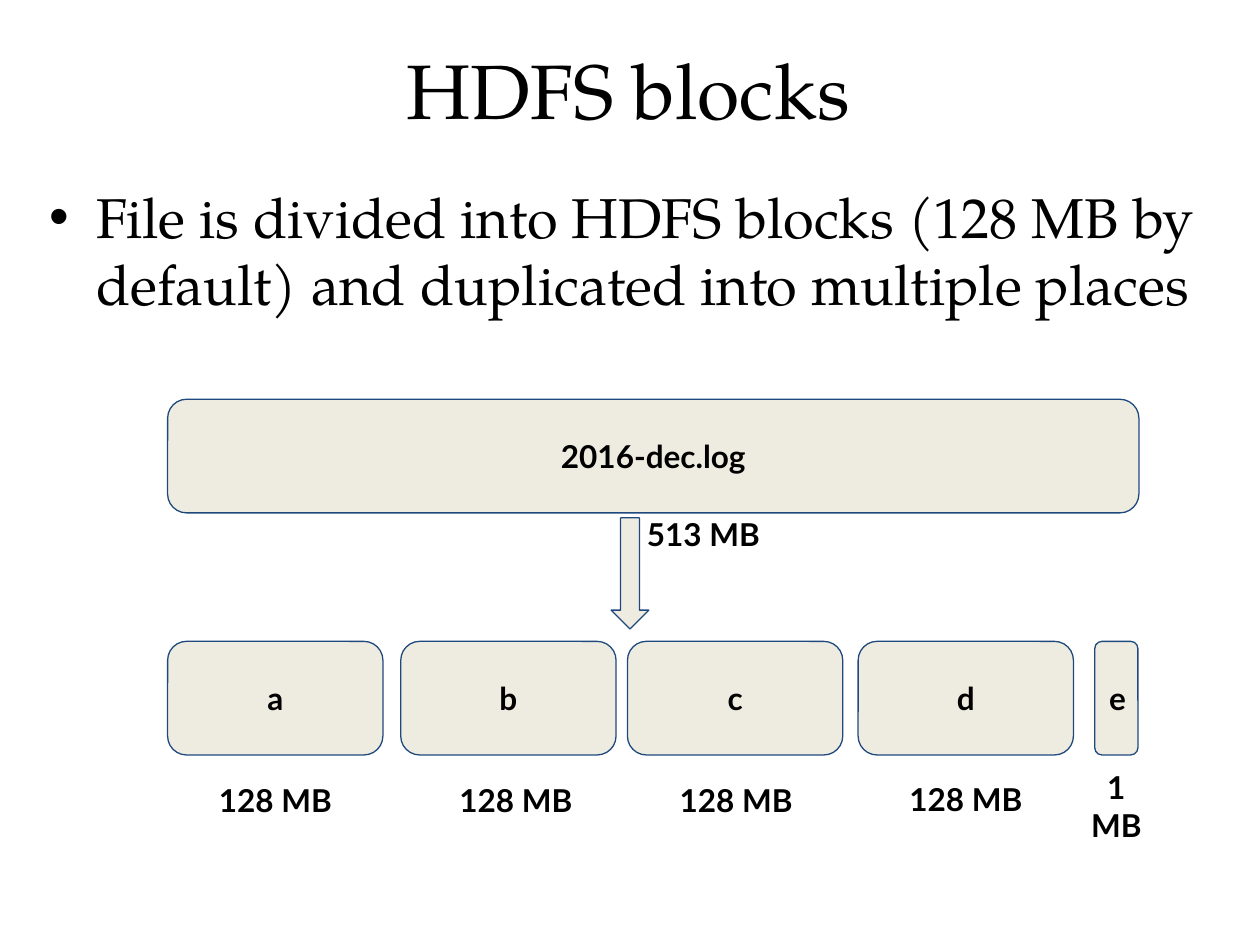
from dataclasses import dataclass

from lxml.etree import SubElement
from pptx import Presentation
from pptx.dml.color import RGBColor
from pptx.enum.shapes import MSO_SHAPE
from pptx.enum.text import MSO_ANCHOR, MSO_AUTO_SIZE, PP_ALIGN
from pptx.oxml.ns import qn
from pptx.util import Cm, Pt


@dataclass(frozen=True)
class Theme:
    ink: RGBColor = RGBColor(0x00, 0x00, 0x00)
    fill: RGBColor = RGBColor(0xEE, 0xEC, 0xE1)
    outline: RGBColor = RGBColor(0x1F, 0x49, 0x7D)
    serif: str = "TeX Gyre Pagella"
    sans: str = "Lato"
    title_size: Pt = Pt(44)
    body_size: Pt = Pt(32)
    label_size: Pt = Pt(18)


theme = Theme()


def write(holder, text, font_name, size, align, bold=False, anchor=MSO_ANCHOR.TOP):
    frame = holder.text_frame
    frame.text = text
    frame.word_wrap = True
    frame.auto_size = MSO_AUTO_SIZE.NONE
    frame.vertical_anchor = anchor
    frame.margin_left = frame.margin_right = Cm(0.25)
    frame.margin_top = frame.margin_bottom = Cm(0.25)
    for paragraph in frame.paragraphs:
        paragraph.alignment = align
        paragraph.space_before = Pt(0)
        paragraph.font.name = font_name
        paragraph.font.size = size
        paragraph.font.bold = bold
        paragraph.font.color.rgb = theme.ink


def add_outlined(preset, left, top, width, height):
    outlined = slide.shapes.add_shape(preset, Cm(left), Cm(top), Cm(width), Cm(height))
    outlined.shadow.inherit = False
    outlined.fill.solid()
    outlined.fill.fore_color.rgb = theme.fill
    outlined.line.color.rgb = theme.outline
    outlined.line.width = Pt(0.75)
    return outlined


deck = Presentation()
deck.slide_width, deck.slide_height = Cm(25.4), Cm(19.05)
slide = deck.slides.add_slide(deck.slide_layouts[1])

heading = slide.shapes.title
heading.left, heading.top, heading.width, heading.height = Cm(0.84), Cm(0.61), Cm(23.67), Cm(1.6)
write(heading, "HDFS blocks", theme.serif, theme.title_size, PP_ALIGN.CENTER)

summary = slide.placeholders[1]
summary.left, summary.top, summary.width, summary.height = Cm(0.74), Cm(3.43), Cm(23.67), Cm(2.95)
bullet = summary.text_frame.paragraphs[0]._p.get_or_add_pPr()
bullet.set("marL", str(Cm(1.27)))
bullet.set("indent", str(-Cm(0.64)))
bullet_color = SubElement(bullet, qn("a:buClr"))
SubElement(bullet_color, qn("a:srgbClr"), val=str(theme.ink))
SubElement(bullet, qn("a:buChar"), char="•")
write(
    summary,
    "File is divided into HDFS blocks (128 MB by default) and duplicated into multiple places",
    theme.serif, theme.body_size, PP_ALIGN.LEFT,
)

block_top, block_width, block_height = 12.93, 4.34, 2.29
blocks = [
    ("2016-dec.log", 3.38, 8.05, 19.58),
    ("a", 3.38, block_top, block_width),
    ("b", 8.08, block_top, block_width),
    ("c", 12.65, block_top, block_width),
    ("d", 17.3, block_top, block_width),
    ("e", 22.07, block_top, 0.87),
]
for name, left, top, width in blocks:
    block = add_outlined(MSO_SHAPE.ROUNDED_RECTANGLE, left, top, width, block_height)
    write(block, name, theme.sans, theme.label_size, PP_ALIGN.CENTER, True, MSO_ANCHOR.MIDDLE)

file_sizes = [
    ("513 MB", 12.01, 10.13, block_width),
    ("128 MB", 3.38, 15.49, block_width),
    ("128 MB", 8.23, 15.49, block_width),
    ("128 MB", 12.67, 15.49, block_width),
    ("128 MB", 17.3, 15.47, block_width),
    ("1\nMB", 19.99, 15.24, 5.03),
]
for amount, left, top, width in file_sizes:
    caption = slide.shapes.add_textbox(Cm(left), Cm(top), Cm(width), Cm(0.76))
    write(caption, amount, theme.sans, theme.label_size, PP_ALIGN.CENTER, True)

split_arrow = add_outlined(MSO_SHAPE.RIGHT_ARROW, 11.58, 11.18, 2.24, 0.76)
split_arrow.rotation = 90

deck.save("out.pptx")
